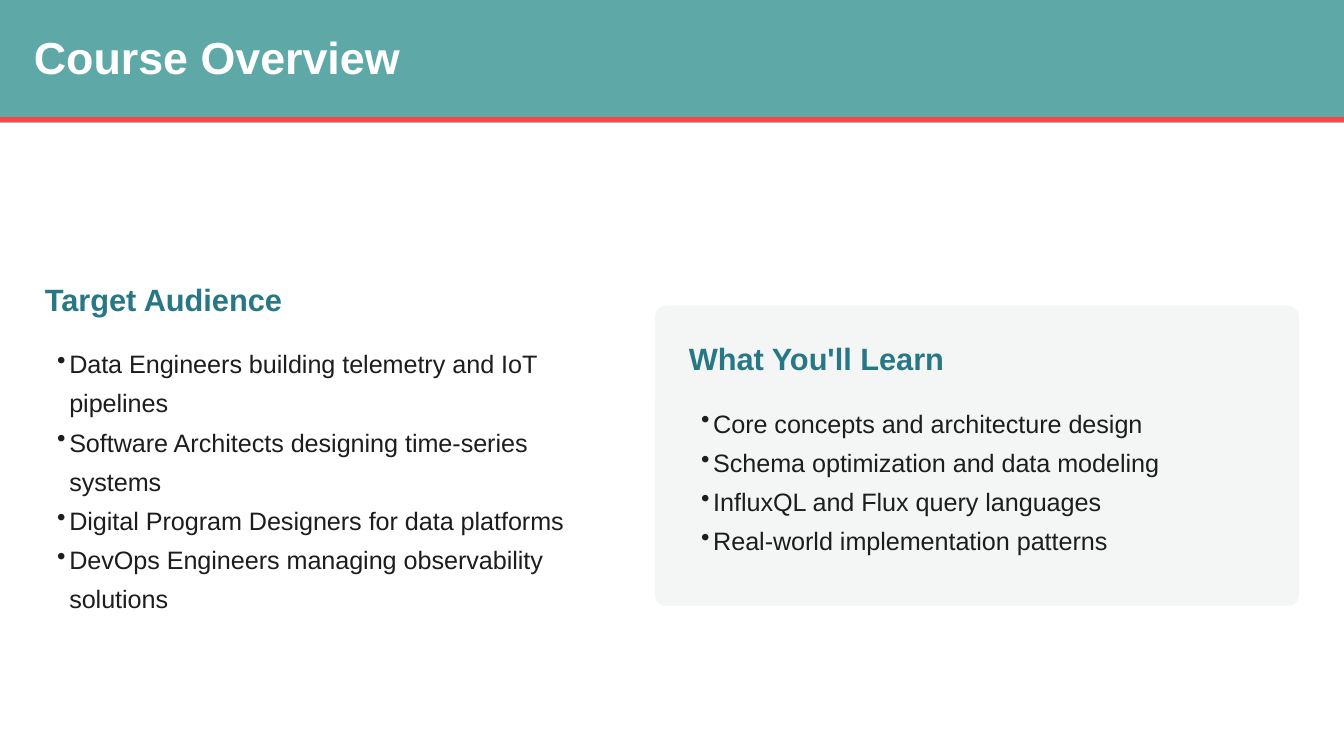
from dataclasses import dataclass

from lxml.etree import SubElement
from pptx import Presentation
from pptx.dml.color import RGBColor
from pptx.enum.shapes import MSO_CONNECTOR as Connector, MSO_SHAPE as Shape
from pptx.oxml.ns import qn
from pptx.util import Cm, Pt


@dataclass(frozen=True)
class Theme:
    font: str = "Arial"
    banner: RGBColor = RGBColor(0x5E, 0xA8, 0xA7)
    accent: RGBColor = RGBColor(0xFE, 0x44, 0x47)
    card: RGBColor = RGBColor(0xF4, 0xF6, 0xF6)
    title: RGBColor = RGBColor(0xFF, 0xFF, 0xFF)
    heading: RGBColor = RGBColor(0x27, 0x78, 0x84)
    body: RGBColor = RGBColor(0x1D, 0x1D, 0x1D)
    title_size: Pt = Pt(24)
    heading_size: Pt = Pt(16.5)
    body_size: Pt = Pt(13.5)


theme = Theme()
INDENT = Cm(0.23)

presentation = Presentation()
presentation.slide_width = Cm(25.4)
presentation.slide_height = Cm(14.29)
slide = presentation.slides.add_slide(presentation.slide_layouts[6])


def add_panel(kind, left, top, width, height, color):
    shape = slide.shapes.add_shape(kind, left, top, width, height)
    shape.shadow.inherit = False
    shape.fill.solid()
    shape.fill.fore_color.rgb = color
    shape.line.fill.background()
    return shape


def add_text(box, lines, size, color, spacing, bold=False, bulleted=False):
    """Add a text box at box (left, top, width, height), one paragraph a line."""
    frame = slide.shapes.add_textbox(*box).text_frame
    frame.word_wrap = True
    frame.margin_left = INDENT if bulleted else 0
    frame.margin_top = frame.margin_right = frame.margin_bottom = 0
    frame.text = "\n".join(lines)
    for paragraph in frame.paragraphs:
        if bulleted:
            properties = paragraph._p.get_or_add_pPr()
            properties.set("marL", str(INDENT))
            properties.set("indent", str(-INDENT))
            SubElement(properties, qn("a:buChar"), char="•")
        paragraph.line_spacing = Pt(spacing)
        paragraph.font.name = theme.font
        paragraph.font.size = size
        paragraph.font.bold = bold
        paragraph.font.color.rgb = color


# Title banner
add_panel(Shape.RECTANGLE, 0, 0, presentation.slide_width, Cm(2.32), theme.banner)
rule = slide.shapes.add_connector(
    Connector.STRAIGHT, 0, Cm(2.26), presentation.slide_width, Cm(2.26))
rule.line.color.rgb = theme.accent
rule.line.width = Pt(3)
SubElement(rule._element.spPr, qn("a:effectLst"))
add_text((Cm(0.64), Cm(0.64), Cm(12.34), Cm(0.94)), ["Course Overview"],
         theme.title_size, theme.title, 26.7, bold=True)

# Card behind the right column
card = add_panel(Shape.ROUNDED_RECTANGLE, Cm(12.38), Cm(5.78), Cm(12.17), Cm(5.67),
                 theme.card)
card.adjustments[0] = 0.037

# Columns: left, top, list height, heading, items
columns = [
    (Cm(0.85), Cm(5.3), Cm(5.51), "Target Audience", [
        "Data Engineers building telemetry and IoT pipelines",
        "Software Architects designing time-series systems",
        "Digital Program Designers for data platforms",
        "DevOps Engineers managing observability solutions",
    ]),
    (Cm(13.02), Cm(6.42), Cm(3.28), "What You'll Learn", [
        "Core concepts and architecture design",
        "Schema optimization and data modeling",
        "InfluxQL and Flux query languages",
        "Real-world implementation patterns",
    ]),
]
for left, top, list_height, heading, items in columns:
    add_text((left, top, Cm(11.13), Cm(0.69)), [heading],
             theme.heading_size, theme.heading, 19.8, bold=True)
    add_text((left, top + Cm(1.12), Cm(10.9), list_height), items,
             theme.body_size, theme.body, 21, bulleted=True)

presentation.save("out.pptx")
